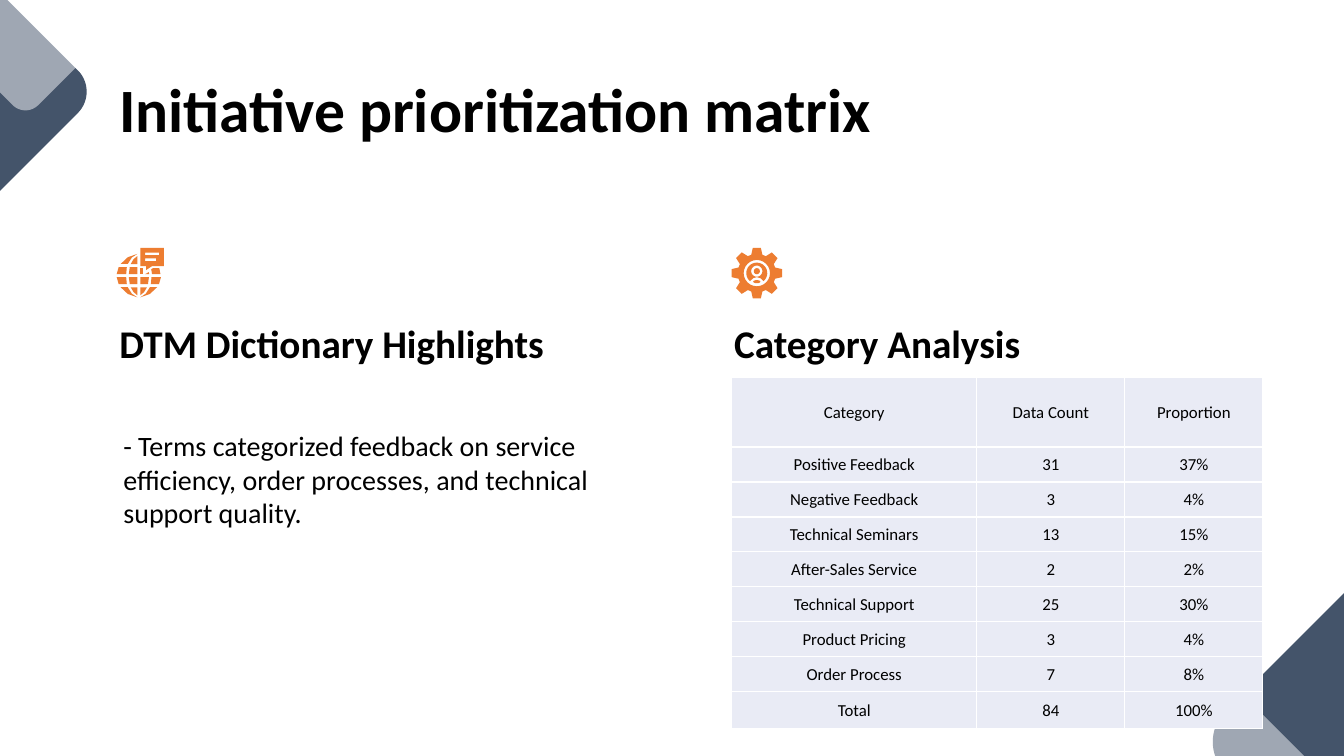
import dataclasses
import math

import lxml.etree
import pptx
import pptx.dml.color
import pptx.enum.shapes
import pptx.enum.text
import pptx.oxml.ns
import pptx.util

Pt = pptx.util.Pt
qn = pptx.oxml.ns.qn
Anchor = pptx.enum.text.MSO_ANCHOR
Align = pptx.enum.text.PP_ALIGN
Preset = pptx.enum.shapes.MSO_SHAPE


@dataclasses.dataclass
class Theme:
    font: str = "Calibri"
    ink: str = "000000"
    white: str = "FFFFFF"
    slate: str = "44546A"
    accent: str = "ED7D31"
    cell: str = "E9EBF5"
    title: int = 44
    heading: int = 28
    body: int = 20
    small: int = 12
    inset: float = 9.6
    cell_inset: float = 0.72


class SlideBuilder:
    def __init__(self, theme, page):
        self.theme = theme
        self.page = page

    def paint(self, shape, color, alpha=None):
        shape.shadow.inherit = False
        shape.fill.solid()
        shape.fill.fore_color.rgb = pptx.dml.color.RGBColor.from_string(color)
        shape.line.fill.background()
        if alpha is not None:
            rgb = shape._element.spPr.find(".//" + qn("a:srgbClr"))
            lxml.etree.SubElement(rgb, qn("a:alpha"), val=str(alpha * 1000))

    def preset(self, kind, left, top, width, height, color):
        shape = self.page.shapes.add_shape(kind, Pt(left), Pt(top), Pt(width), Pt(height))
        self.paint(shape, color)

    def outline(self, contours, color, alpha=None):
        scaled = [[(Pt(x), Pt(y)) for x, y in contour] for contour in contours]
        builder = self.page.shapes.build_freeform(*scaled[0][0])
        for number, contour in enumerate(scaled):
            if number:
                builder.move_to(*contour[0])
            builder.add_line_segments(contour[1:], close=True)
        self.paint(builder.convert_to_shape(), color, alpha)

    def span(self, para, text, size, bold=False):
        span = para.add_run()
        span.text = text
        span.font.name = self.theme.font
        span.font.size = Pt(size)
        span.font.bold = bold
        span.font.color.rgb = pptx.dml.color.RGBColor.from_string(self.theme.ink)

    def text(self, text, left, top, width, height, size, bold=False, anchor=Anchor.TOP, spacing=1.0):
        box = self.page.shapes.add_textbox(Pt(left), Pt(top), Pt(width), Pt(height))
        frame = box.text_frame
        frame.word_wrap = True
        frame.vertical_anchor = anchor
        frame.margin_left = frame.margin_right = Pt(self.theme.inset)
        frame.margin_top = frame.margin_bottom = Pt(self.theme.inset)
        para = frame.paragraphs[0]
        para.line_spacing = spacing
        self.span(para, text, size, bold)

    def cell(self, cell, text):
        inset = Pt(self.theme.cell_inset)
        cell.margin_left = cell.margin_right = cell.margin_top = inset
        cell.margin_bottom = 0
        cell.vertical_anchor = Anchor.MIDDLE
        para = cell.text_frame.paragraphs[0]
        para.alignment = Align.CENTER
        self.span(para, text, self.theme.small)
        properties = cell._tc.get_or_add_tcPr()
        for side in ("lnL", "lnR", "lnT", "lnB"):
            border = lxml.etree.SubElement(properties, qn("a:" + side), w=str(Pt(1)))
            fill = lxml.etree.SubElement(border, qn("a:solidFill"))
            lxml.etree.SubElement(fill, qn("a:srgbClr"), val=self.theme.white)
        cell.fill.solid()
        cell.fill.fore_color.rgb = pptx.dml.color.RGBColor.from_string(self.theme.cell)

    def table(self, rows, left, top, widths, heights):
        frame = self.page.shapes.add_table(
            len(rows), len(widths), Pt(left), Pt(top), Pt(sum(widths)), Pt(sum(heights)))
        table = frame.table
        table.first_row = table.horz_banding = False
        for column, width in zip(table.columns, widths):
            column.width = Pt(width)
        for row, height, values in zip(table.rows, heights, rows):
            row.height = Pt(height)
            for cell, value in zip(row.cells, values):
                self.cell(cell, value)

    def diamond(self, x, y, reach, color, alpha=None):
        points = []
        for corner in range(0, 360, 90):
            tip = polar(x, y, reach, corner)
            points += arc(*tip, reach * 0.3, corner - 45, corner + 45)
        self.outline([points], color, alpha)

    def gear(self, x, y):
        color = self.theme.accent
        teeth = [polar(x, y, radius, tooth + turn)
                 for tooth in range(0, 360, 45)
                 for radius, turn in ((13.7, -17), (18.3, -9), (18.3, 9), (13.7, 17))]
        self.outline([teeth, arc(x, y, 9.4, 360, 0)], color)
        ring = arc(x, y, 7.5, 130, 410)
        shoulders = [(x + 2.6, y + 3.6), (x, y + 2.9), (x - 2.6, y + 3.6)]
        self.outline([ring + shoulders, arc(x, y - 1.4, 4, 360, 0)], color)
        self.preset(Preset.OVAL, x - 2.2, y - 3.6, 4.4, 4.4, color)
        self.preset(Preset.OVAL, x - 2.6, y + 5, 5.2, 2.2, color)

    def globe(self, x, y):
        quarter = [
            [(1.1, 1.1), (7.2, 1.1), (6.5, 6.1), (1.1, 6.1)],
            [(9, 1.1), (15.8, 1.1), (14.4, 6.1), (8.6, 6.1)],
            [(1.1, 8.3), (5.8, 8.3), (3.8, 11.7), (1.1, 14)],
            [(7.9, 8.3), (13, 8.3), (7.9, 13.1), (1.1, 15.5), (5, 12.9)],
        ]
        for across, down in ((-1, -1), (-1, 1), (1, 1)):
            for piece in quarter:
                self.outline([[(x + across * a, y + down * b) for a, b in piece]], self.theme.accent)
        upper_right = [
            [[(1.1, -5.4), (3, -5.4), (3, -1.1), (1.1, -1.1)]],
            [[(4.5, -1.1), (7.4, -1.1), (7.2, -2.5)]],
            [[(14.6, -5.4), (10.2, -5.4), (8.8, -4.6), (9.4, -1.1), (15.4, -1.1)]],
            [[(17.8, -19.8), (1, -19.8), (1, -6.8), (5.2, -6.8), (5.2, -4), (9.4, -6.8), (17.8, -6.8)],
             [(12.4, -10.4), (12.4, -12.4), (4.5, -12.4), (4.5, -10.4)],
             [(14.5, -14.6), (14.5, -16.5), (4.5, -16.5), (4.5, -14.6)]],
        ]
        for piece in upper_right:
            self.outline([[(x + a, y + b) for a, b in contour] for contour in piece], self.theme.accent)


def polar(x, y, radius, degrees):
    angle = math.radians(degrees)
    return x + radius * math.cos(angle), y + radius * math.sin(angle)


def arc(x, y, radius, start, end, steps=24):
    return [polar(x, y, radius, start + (end - start) * step / steps) for step in range(steps + 1)]


def main():
    deck = pptx.Presentation()
    deck.slide_width, deck.slide_height = Pt(960), Pt(540)
    theme = Theme()
    builder = SlideBuilder(theme, deck.slides.add_slide(deck.slide_layouts[6]))

    builder.diamond(996.8, 529.9, 100.4, theme.slate)
    builder.diamond(875.2, 569.9, 60.5, theme.white, 49)
    builder.diamond(-31.7, 65.5, 72, theme.slate)
    builder.diamond(18.2, 22.7, 43.2, theme.white, 49)

    builder.text("Initiative prioritization matrix", 75.6, 46.8, 808.6, 60.5,
                 theme.title, bold=True, spacing=0.9)
    for left, heading in ((75.6, "DTM Dictionary Highlights"), (514.8, "Category Analysis")):
        builder.text(heading, left, 229, 370, 42.5, theme.heading,
                     bold=True, anchor=Anchor.BOTTOM, spacing=0.9)
    builder.text("- Terms categorized feedback on service efficiency, order processes, "
                 "and technical support quality.", 78.5, 296.6, 370, 160.6, theme.body)

    builder.gear(540.6, 195.1)
    builder.globe(99.2, 196.9)

    rows = [
        ("Category", "Data Count", "Proportion"),
        ("Positive Feedback", "31", "37%"),
        ("Negative Feedback", "3", "4%"),
        ("Technical Seminars", "13", "15%"),
        ("After-Sales Service", "2", "2%"),
        ("Technical Support", "25", "30%"),
        ("Product Pricing", "3", "4%"),
        ("Order Process", "7", "8%"),
        ("Total", "84", "100%"),
    ]
    builder.table(rows, 522.7, 269.6, [175, 105.8, 98.6], [49.7] + [25] * 7 + [26.5])
    deck.save("out.pptx")


if __name__ == "__main__":
    main()
